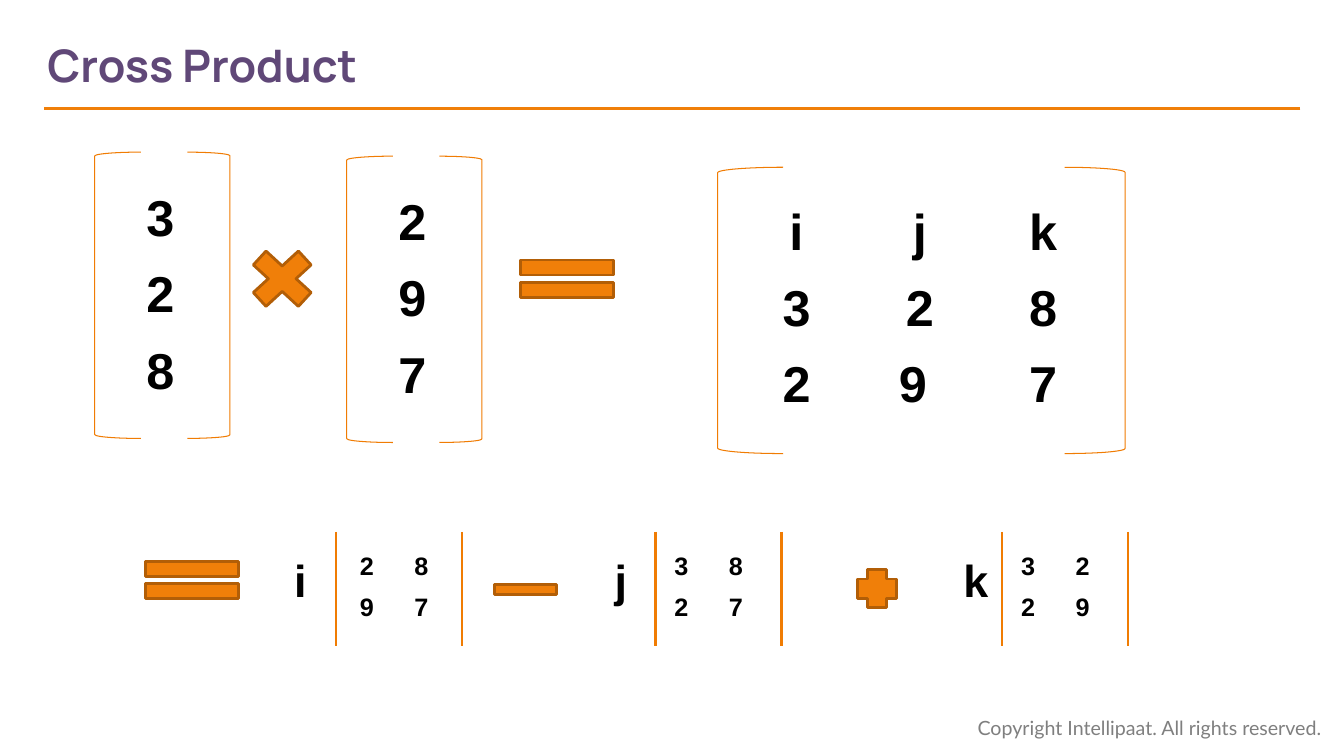
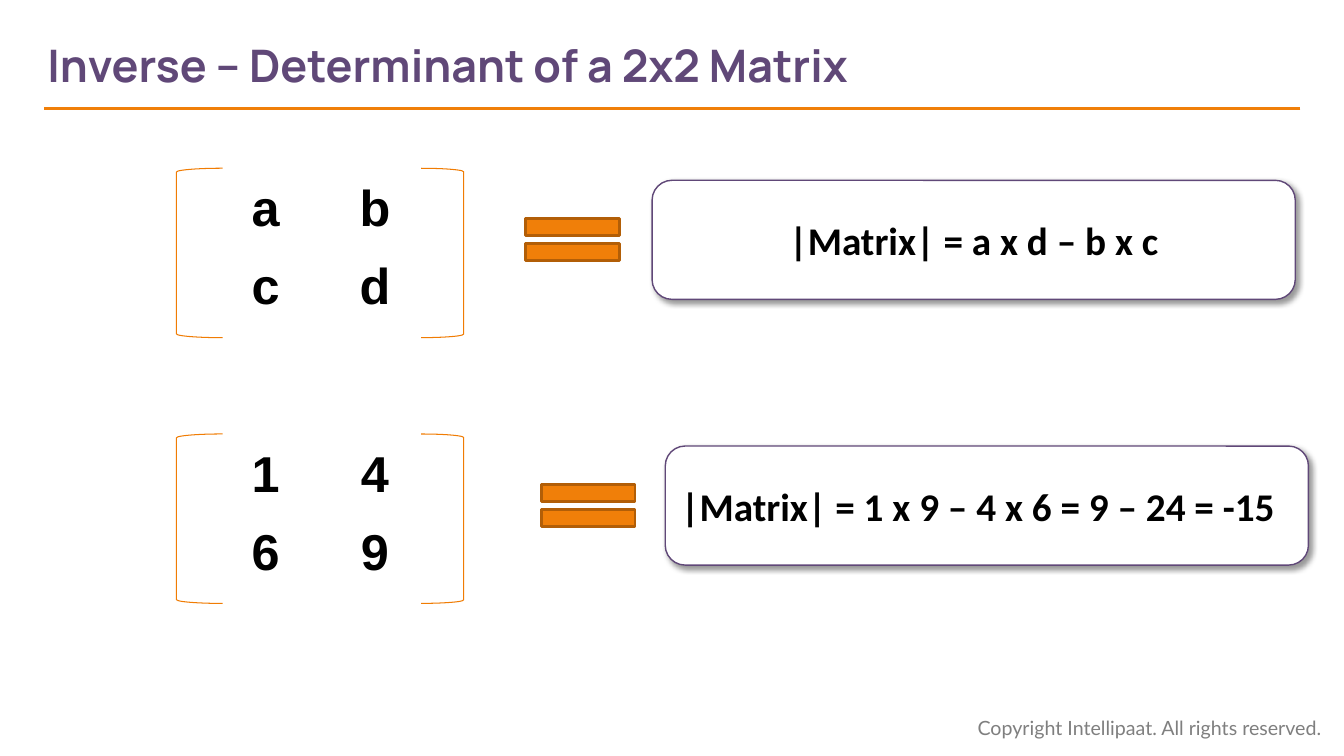
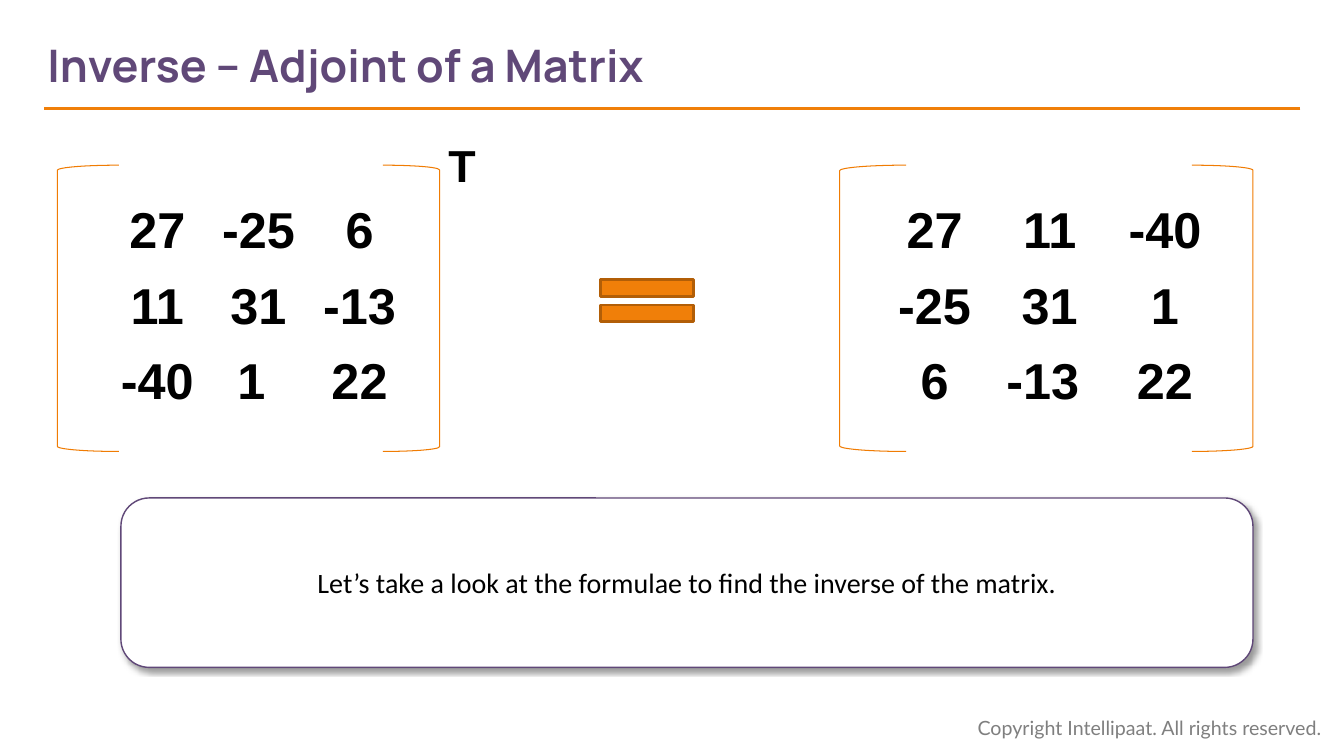
"""Build three slides on the cross product, determinant and adjoint of matrices."""
from dataclasses import dataclass

from lxml import etree
from pptx import Presentation
from pptx.dml.color import RGBColor
from pptx.enum import shapes, text
from pptx.oxml.ns import qn
from pptx.util import Pt

ORANGE = RGBColor(0xF0, 0x7F, 0x09)
BRACKET_ORANGE = RGBColor(0xF0, 0x7C, 0x03)
DARK_ORANGE = RGBColor(0xB2, 0x5E, 0x07)
PURPLE = RGBColor(0x60, 0x48, 0x78)
GREY = RGBColor(0x7F, 0x7F, 0x7F)
BLACK = RGBColor(0, 0, 0)
WHITE = RGBColor(0xFF, 0xFF, 0xFF)
NO_TABLE_STYLE = "{2D5ABB26-0587-4C30-8999-92F81FD0307C}"
RIGHT_BRACKET_RATIO = 0.92

Shape = shapes.MSO_SHAPE
Align = text.PP_ALIGN
Anchor = text.MSO_ANCHOR


@dataclass(frozen=True)
class Font:
    name: str
    size: float
    color: RGBColor = BLACK
    bold: bool = True


TITLE = Font("Manrope", 32, PURPLE)
FOOTER = Font("Lato", 14, GREY, False)
ENTRY = Font("Arial", 36)
SMALL_ENTRY = Font("Arial", 18)
SYMBOL = Font("Arial", 32)
FORMULA = Font("Calibri", 28)
BODY = Font("Calibri", 20, BLACK, False)


@dataclass(frozen=True)
class Box:
    x: float
    y: float
    w: float
    h: float

    def emu(self) -> tuple:
        return Pt(self.x), Pt(self.y), Pt(self.w), Pt(self.h)


@dataclass(frozen=True)
class Grid:
    x: float
    y: float
    rows: tuple
    col_widths: tuple
    row_height: float
    font: Font = ENTRY
    align: Align = Align.CENTER
    anchor: Anchor = Anchor.MIDDLE


@dataclass(frozen=True)
class Matrix:
    frame: Box
    bracket_width: float
    grid: Grid


@dataclass(frozen=True)
class Operator:
    kind: Shape
    box: Box


@dataclass(frozen=True)
class Minor:
    letter: str
    letter_x: float
    bar_x: float
    grid_x: float
    rows: tuple


@dataclass(frozen=True)
class Callout:
    box: Box
    words: str
    font: Font
    align: Align = Align.CENTER


def write(tf, words: str, font: Font, align: Align = Align.LEFT) -> None:
    p = tf.paragraphs[0]
    p.alignment = align
    r = p.add_run()
    r.text = words
    r.font.name, r.font.size, r.font.bold = font.name, Pt(font.size), font.bold
    r.font.color.rgb = font.color


def add_text(s, box: Box, words: str, font: Font, anchor: Anchor = Anchor.TOP, left: float = 7.2) -> None:
    tf = s.shapes.add_textbox(*box.emu()).text_frame
    tf.word_wrap = True
    tf.vertical_anchor = anchor
    tf.margin_left = Pt(left)
    write(tf, words, font)


def add_line(s, x1: float, y1: float, x2: float, y2: float, color: RGBColor, width: float) -> None:
    cx = s.shapes.add_connector(shapes.MSO_CONNECTOR.STRAIGHT, Pt(x1), Pt(y1), Pt(x2), Pt(y2))
    cx.line.color.rgb, cx.line.width = color, Pt(width)
    etree.SubElement(cx._element.spPr, qn("a:effectLst"))


def add_shape(s, kind: Shape, box: Box, fill: RGBColor | None, line: RGBColor, width: float):
    sp = s.shapes.add_shape(kind, *box.emu())
    sp.shadow.inherit = False
    if fill is None:
        sp.fill.background()
    else:
        sp.fill.solid()
        sp.fill.fore_color.rgb = fill
    sp.line.color.rgb, sp.line.width = line, Pt(width)
    return sp


def add_operator(s, op: Operator) -> None:
    add_shape(s, op.kind, op.box, ORANGE, DARK_ORANGE, 2)


def add_grid(s, g: Grid) -> None:
    box = Box(g.x, g.y, sum(g.col_widths), g.row_height * len(g.rows))
    tbl = s.shapes.add_table(len(g.rows), len(g.col_widths), *box.emu()).table
    tbl.first_row = tbl.horz_banding = False
    tbl._tbl.tblPr.find(qn("a:tableStyleId")).text = NO_TABLE_STYLE
    for col, width in zip(tbl.columns, g.col_widths):
        col.width = Pt(width)
    for i, row in enumerate(g.rows):
        tbl.rows[i].height = Pt(g.row_height)
        for j, value in enumerate(row):
            cell = tbl.cell(i, j)
            cell.fill.background()
            cell.vertical_anchor = g.anchor
            write(cell.text_frame, value, g.font, g.align)


def add_matrix(s, m: Matrix) -> None:
    f, left_w = m.frame, m.bracket_width
    right_w = left_w * RIGHT_BRACKET_RATIO
    for kind, x, w in ((Shape.LEFT_BRACKET, f.x, left_w),
                       (Shape.RIGHT_BRACKET, f.x + f.w - right_w, right_w)):
        add_shape(s, kind, Box(x, f.y, w, f.h), None, BRACKET_ORANGE, 0.75)
    add_grid(s, m.grid)


def add_minor(s, m: Minor) -> None:
    add_text(s, Box(m.letter_x, 391.5, 60, 46), m.letter, SYMBOL)
    for x in (m.bar_x, m.bar_x + 90):
        add_line(s, x, 380, x, 461.5, BRACKET_ORANGE, 2)
    add_grid(s, Grid(m.grid_x, 391.3, m.rows, (39, 39), 28.8, SMALL_ENTRY, Align.LEFT, Anchor.TOP))


def add_callout(s, c: Callout) -> None:
    sp = add_shape(s, Shape.ROUNDED_RECTANGLE, c.box, WHITE, PURPLE, 1)
    effects = sp._element.spPr.find(qn("a:effectLst"))
    shadow = etree.SubElement(effects, qn("a:outerShdw"), blurRad=str(Pt(4)), dist=str(Pt(3)),
                              dir="2700000", algn="tl", rotWithShape="0")
    color = etree.SubElement(shadow, qn("a:srgbClr"), val=str(BLACK))
    etree.SubElement(color, qn("a:alpha"), val="40000")
    tf = sp.text_frame
    tf.word_wrap = True
    tf.vertical_anchor = Anchor.MIDDLE
    write(tf, c.words, c.font, c.align)


def start_slide(prs, title: str):
    s = prs.slides.add_slide(prs.slide_layouts[6])
    add_text(s, Box(691.2, 507.6, 264.3, 24.5), "Copyright Intellipaat. All rights reserved.", FOOTER)
    add_line(s, 928.8, 77.8, 31.7, 77.8, ORANGE, 2.25)
    add_text(s, Box(33.8, 15.8, 682, 60.5), title, TITLE, Anchor.MIDDLE, 0)
    return s


def build_cross_product(prs) -> None:
    s = start_slide(prs, "Cross Product")
    for x, y, values in ((67.7, 108.7, "328"), (247.7, 111.6, "297")):
        add_matrix(s, Matrix(Box(x, y, 96.5, 204.5), 33,
                             Grid(x + 27, y + 20.2, tuple(values), (39.6,), 54.7)))
    add_matrix(s, Matrix(Box(512.6, 119.5, 291, 204.5), 46.8,
                         Grid(524.9, 139.7, ("ijk", "328", ("2", "9 ", "7")), (88.1,) * 3, 54)))
    for op in (Operator(Shape.MATH_MULTIPLY, Box(170.6, 170.6, 62, 57)),
               Operator(Shape.MATH_EQUAL, Box(360, 176.4, 90, 45.4)),
               Operator(Shape.MATH_EQUAL, Box(92.2, 391.7, 90, 45.4)),
               Operator(Shape.RECTANGLE, Box(353.5, 417.6, 44, 7.2)),
               Operator(Shape.CROSS, Box(612.7, 406.8, 27.4, 27.4))):
        add_operator(s, op)
    for minor in (Minor("i", 203, 240, 249.8, ("28", "97")),
                  Minor("j", 432, 468, 474.5, ("38", "27")),
                  Minor("k", 681, 715.7, 722.2, ("32", "29"))):
        add_minor(s, minor)


def build_determinant(prs) -> None:
    s = start_slide(prs, "Inverse – Determinant of a 2x2 Matrix")
    examples = (
        (120.2, ("ab", "cd"), 363.6, 465.8, "|Matrix| = a x d – b x c", Align.CENTER),
        (310, ("14", "69"), 375, 475.2, "|Matrix| = 1 x 9 – 4 x 6 = 9 – 24 = -15", Align.LEFT),
    )
    for y, rows, equal_x, callout_x, formula, align in examples:
        add_matrix(s, Matrix(Box(126, y, 205.2, 121), 33,
                             Grid(151.9, y + 1.5, rows, (75.6, 80.6), 55.8)))
        add_operator(s, Operator(Shape.MATH_EQUAL, Box(equal_x, y + 25.5, 90.7, 51)))
        add_callout(s, Callout(Box(callout_x, y + 8.6, 459.4, 85), formula, FORMULA, align))


def build_adjoint(prs) -> None:
    s = start_slide(prs, "Inverse – Adjoint of a Matrix")
    cofactors = (("27", "-25", "6"), ("11", "31", "-13"), ("-40", "1 ", "22"))
    adjoint = (("27", "11", "-40"), ("-25", "31", "1"), ("6", "-13 ", "22"))
    for x, width, bracket, grid_x, col, rows in ((41, 273, 44, 76.3, 72.2, cofactors),
                                                 (599.8, 295.2, 47.5, 626.4, 82.3, adjoint)):
        add_matrix(s, Matrix(Box(x, 118, width, 204.5), bracket,
                             Grid(grid_x, 138.2, rows, (col,) * 3, 54)))
    add_operator(s, Operator(Shape.MATH_EQUAL, Box(416.9, 189.4, 90.7, 51)))
    add_text(s, Box(313.2, 95, 49.7, 46), "T", SYMBOL)
    add_callout(s, Callout(Box(86.4, 355.7, 808.6, 121),
                           "Let’s take a look at the formulae to find the inverse of the matrix.", BODY))


def main() -> None:
    prs = Presentation()
    prs.slide_width, prs.slide_height = Pt(960), Pt(540)
    build_cross_product(prs)
    build_determinant(prs)
    build_adjoint(prs)
    prs.save("out.pptx")


if __name__ == "__main__":
    main()
